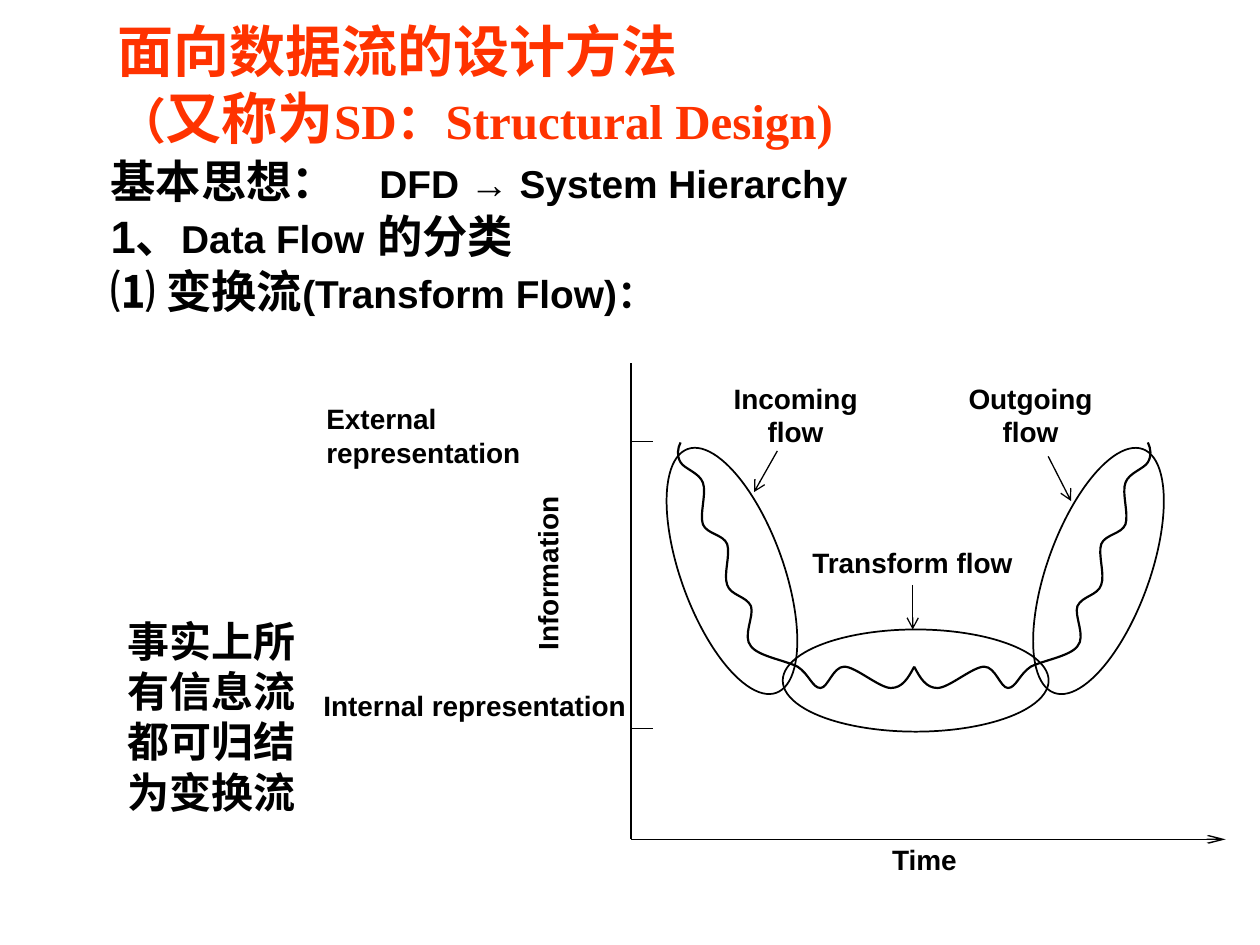
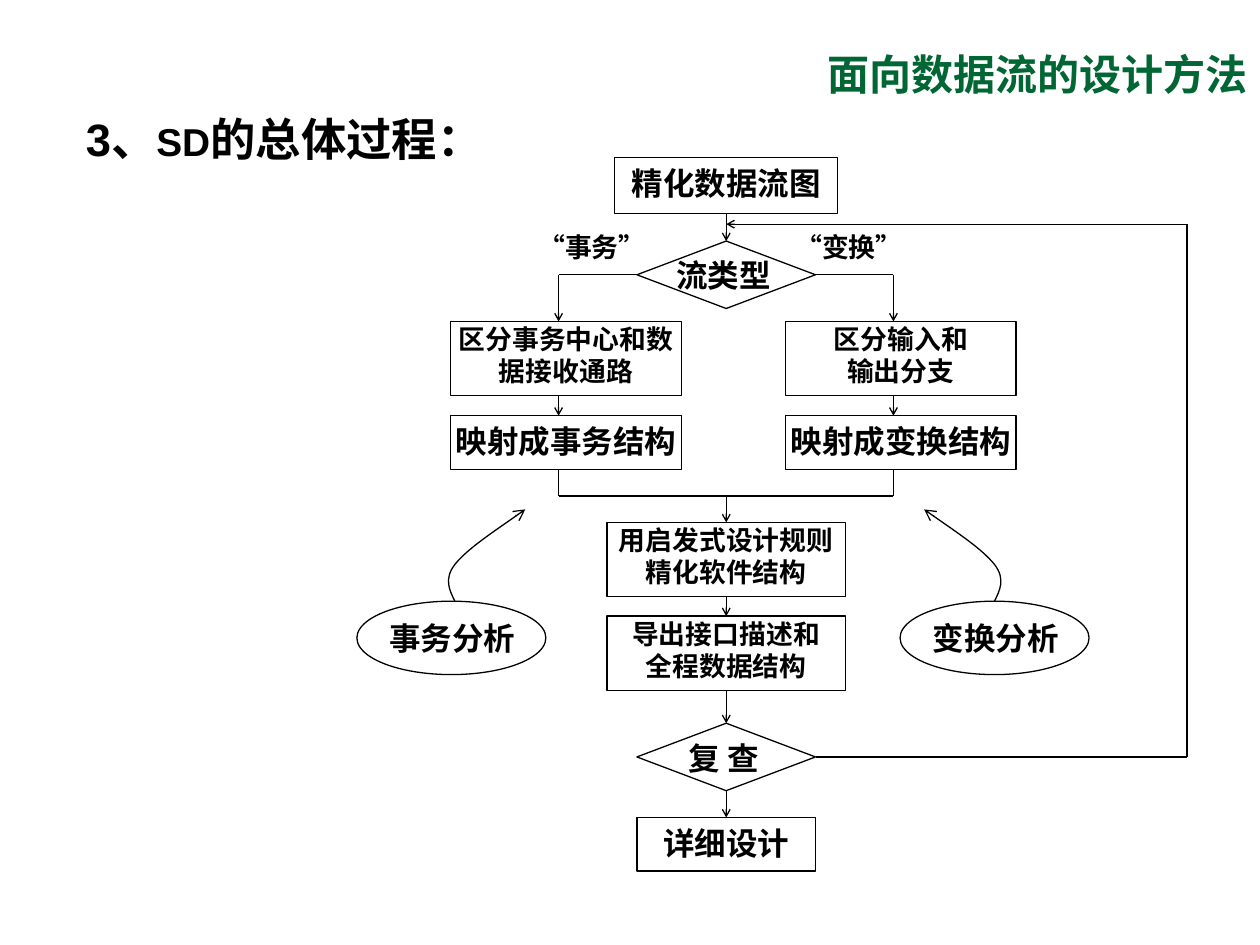
from pptx import Presentation
from pptx.dml.color import RGBColor
from pptx.enum.shapes import MSO_CONNECTOR, MSO_SHAPE
from pptx.enum.text import MSO_ANCHOR, MSO_AUTO_SIZE, PP_ALIGN
from pptx.oxml.ns import qn
from pptx.util import Cm, Pt
from lxml.etree import SubElement

COLORS = {"ink": "000000", "orange": "FF3300", "green": "006633"}
LEFT, CENTER, RIGHT = PP_ALIGN.LEFT, PP_ALIGN.CENTER, PP_ALIGN.RIGHT
RECT, DIAMOND, OVAL = MSO_SHAPE.RECTANGLE, MSO_SHAPE.DIAMOND, MSO_SHAPE.OVAL
ROOMY = (0.25, 0.13)   # horizontal and vertical text margins, cm
TIGHT = (0.05, 0.03)
LOW = (0.05, 0.13)
SMALL, MEDIUM, SLIM = ("sm", "sm"), ("med", "med"), ("sm", "lg")   # arrowhead width, length

# ---- Content: data flow slide (lengths in cm) ----
# A paragraph is a list of (text, size) runs; "\n" breaks the line.
FLOW_TITLE = [[("面向数据流的设计方法", 32), ("\n", 32), ("（", 28), ("又称为", 32),
               ("SD：Structural Design)", 28)]]
FLOW_BODY = [
    [("基本思想：\t", 25.9), ("DFD → System Hierarchy", 22.2)],
    [("1、", 25.9), ("Data Flow", 22.2), (" 的分类", 25.9)],
    [("⑴ 变换流", 25.9), ("(Transform Flow)：", 22.2)],
]
# lines, box, alignment, margins, rotation, size and, if not Arial, font
FLOW_LABELS = [
    (["Internal representation"], (5.89, 13.85, 6.78, 1.78), RIGHT, TIGHT, 0, 16),
    (["Information"], (9.66, 10.55, 3.71, 1.9), LEFT, ROOMY, 270, 16),
    (["Transform flow"], (16.02, 10.97, 4.75, 1.65), CENTER, TIGHT, 0, 16),
    (["Outgoing", "flow"], (19.34, 7.66, 2.87, 1.65), CENTER, TIGHT, 0, 16),
    (["Incoming", "flow"], (14.11, 7.66, 3.86, 1.65), CENTER, TIGHT, 0, 16),
    (["External representation"], (6.53, 8.07, 6.15, 1.78), LEFT, TIGHT, 0, 16),
    (["Time"], (16.97, 16.86, 3.33, 1.24), CENTER, ROOMY, 0, 16),
    (["事实上所有信息流都可归结为变换流"], (2.33, 12.27, 4.65, 4.32), LEFT, ROOMY, 0, 24),
]
FLOW_OVALS = [  # box, rotation
    ((15.78, 12.69, 5.36, 2.06), 0),
    ((12.14, 10.48, 5.23, 2.06), 70),
    ((19.53, 10.48, 5.23, 2.06), 290),
]
AXIS_X, AXIS_TOP, AXIS_BOTTOM, TIME_END = 12.72, 7.32, 16.92, 24.71
TICKS, TICK_LENGTH = (8.9, 14.68), 0.44
POINTERS = [((15.67, 9.09), (15.2, 9.92)), ((21.13, 9.2), (21.59, 10.1)),
            ((18.4, 11.79), (18.4, 12.69))]
WAVE_MIRROR = 18.43
# Bezier curves: the start, then two control points and an end per segment
WAVE = [
    (13.72, 8.92),
    (13.66, 9.04), (13.64, 9.19), (13.72, 9.32),
    (13.79, 9.45), (14.1, 9.53), (14.17, 9.73),
    (14.25, 9.93), (14.1, 10.36), (14.17, 10.57),
    (14.25, 10.77), (14.58, 10.77), (14.66, 10.97),
    (14.73, 11.18), (14.58, 11.58), (14.66, 11.79),
    (14.73, 12.01), (15.04, 12.01), (15.14, 12.22),
    (15.21, 12.42), (14.96, 12.83), (15.14, 13.03),
    (15.29, 13.23), (15.82, 13.31), (16.08, 13.44),
    (16.31, 13.59), (16.38, 13.87), (16.54, 13.87),
    (16.69, 13.87), (16.79, 13.44), (17.02, 13.44),
    (17.25, 13.44), (17.73, 13.87), (17.96, 13.87),
    (18.19, 13.87), (18.31, 13.67), (18.43, 13.44),
]

# ---- Content: process slide ----
PROCESS_TITLE = [[("面向数据流的设计方法", 24)]]
PROCESS_BODY = [[("3、", 25.9), ("SD", 22.2), ("的总体过程：", 25.9)]]
PROCESS_LABELS = [
    (["“变换”"], (15.77, 4.62, 2.69, 0.74), CENTER, TIGHT, 0, 15.3),
    (["“事务”"], (10.59, 4.62, 2.69, 0.74), CENTER, TIGHT, 0, 15.3),
    (["流类型"], (13.39, 5.13, 2.39, 1.12), CENTER, TIGHT, 0, 18),
    (["复 查"], (13.39, 14.86, 2.39, 1.12), CENTER, TIGHT, 0, 18, "Noto Sans CJK SC"),
    (["变换分析"], (18.4, 12.34, 3.35, 1.09), CENTER, LOW, 0, 18),
    (["事务分析"], (7.44, 12.34, 3.35, 1.09), CENTER, LOW, 0, 18),
]
MAIN, TRANSACTION, TRANSFORM = 14.64, 11.41, 18.16   # column centres
# name: shape, column centre, top, width, height, lines, size, margins
PROCESS_NODES = {
    "refine": (RECT, MAIN, 3.18, 4.5, 1.12, ["精化数据流图"], 18, ROOMY),
    "flow type": (DIAMOND, MAIN, 4.86, 3.6, 1.36, [], 18, TIGHT),
    "find centre": (RECT, TRANSACTION, 6.48, 4.65, 1.5,
                    ["区分事务中心和数据接收通路"], 15.3, TIGHT),
    "find branches": (RECT, TRANSFORM, 6.48, 4.65, 1.5,
                      ["区分输入和", "输出分支"], 15.3, TIGHT),
    "map transaction": (RECT, TRANSACTION, 8.38, 4.65, 1.08, ["映射成事务结构"], 18, LOW),
    "map transform": (RECT, TRANSFORM, 8.38, 4.65, 1.08, ["映射成变换结构"], 18, LOW),
    "heuristics": (RECT, MAIN, 10.53, 4.8, 1.5,
                   ["用启发式设计规则精化软件结构"], 15.3, TIGHT),
    "interfaces": (RECT, MAIN, 12.42, 4.8, 1.5,
                   ["导出接口描述和", "全程数据结构"], 15.3, TIGHT),
    "review": (DIAMOND, MAIN, 14.58, 3.6, 1.36, [], 18, TIGHT),
    "detail": (RECT, MAIN, 16.48, 3.6, 1.08, ["详细设计"], 18, LOW),
    "transaction analysis": (OVAL, 9.1, 12.12, 3.81, 1.48, [], 18, TIGHT),
    "transform analysis": (OVAL, 20.05, 12.12, 3.81, 1.48, [], 18, TIGHT),
}
MAIN_STEPS = [("refine", "flow type"), ("heuristics", "interfaces"),
              ("interfaces", "review"), ("review", "detail")]
BRANCHES = [(11.26, 1), (18.01, 3)]   # line x, side of the diamond
BRANCH_Y, MERGE_Y = 5.54, 10
RETURN_X, RETURN_TOP, RETURN_BOTTOM = 23.93, 4.52, 15.26
ANALYSIS_CURVE = [(9.17, 12.12), (9.07, 11.91), (8.94, 11.68), (9.17, 11.38),
                  (9.42, 11.07), (10.01, 10.68), (10.59, 10.27)]
ANALYSIS_MIRROR = 14.61


# ---- Shared helpers ----
def apply(target, values):
    for name, value in values.items():
        setattr(target, name, value)


def write(shape, paragraphs, font="Arial", color="ink", align=LEFT, margins=ROOMY,
          spacing=None):
    frame = shape.text_frame
    across, down = Cm(margins[0]), Cm(margins[1])
    apply(frame, dict(word_wrap=True, auto_size=MSO_AUTO_SIZE.NONE,
                      vertical_anchor=MSO_ANCHOR.TOP, margin_left=across,
                      margin_right=across, margin_top=down, margin_bottom=down))
    for index, runs in enumerate(paragraphs):
        paragraph = frame.add_paragraph() if index else frame.paragraphs[0]
        apply(paragraph, dict(alignment=align, **(spacing or {})))
        for text, size in runs:
            if text == "\n":
                paragraph.add_line_break()
                continue
            run = paragraph.add_run()
            run.text = text
            apply(run.font, dict(name=font, size=Pt(size), bold=True))
            run.font.color.rgb = RGBColor.from_string(COLORS[color])


def plain(lines, size):
    return [[(line, size)] for line in lines]


def add_text(slide, box, paragraphs, **options):
    shape = slide.shapes.add_textbox(*map(Cm, box))
    write(shape, paragraphs, **options)
    return shape


def add_labels(slide, labels):
    for lines, box, align, margins, rotation, size, *font in labels:
        label = add_text(slide, box, plain(lines, size), align=align, margins=margins,
                         font=font[0] if font else "Arial")
        label.rotation = rotation


def add_titled_slide(presentation, paragraphs, box, color, align):
    slide = presentation.slides.add_slide(presentation.slide_layouts[5])
    title = slide.shapes.title
    apply(title, dict(zip(("left", "top", "width", "height"), map(Cm, box))))
    write(title, paragraphs, font="Times New Roman", color=color, align=align)
    return slide


def outline(shape, width):
    shape.line.color.rgb = RGBColor.from_string(COLORS["ink"])
    shape.line.width = Pt(width)


def add_outlined(slide, kind, box, width=0.75):
    shape = slide.shapes.add_shape(kind, *map(Cm, box))
    shape.shadow.inherit = False
    shape.fill.background()
    outline(shape, width)
    return shape


def add_arrowhead(shape, head):
    SubElement(shape.line._get_or_add_ln(), qn("a:tailEnd"),
               type="arrow", w=head[0], len=head[1])


def add_line(slide, start, end, nodes=None, head=None):
    """Each end is a point, or a node name with a connection site."""
    joined = [isinstance(place[0], str) for place in (start, end)]
    points = [(0, 0) if join else place for place, join in zip((start, end), joined)]
    line = slide.shapes.add_connector(
        MSO_CONNECTOR.STRAIGHT, *(Cm(value) for point in points for value in point))
    if joined[0]:
        line.begin_connect(nodes[start[0]], start[1])
    if joined[1]:
        line.end_connect(nodes[end[0]], end[1])
    outline(line, 0.75)
    if head:
        add_arrowhead(line, head)
    SubElement(line._element.spPr, qn("a:effectLst"))


def bend(shape):
    """Turn each three line segments into one Bezier segment."""
    outline_element = next(shape._element.iter(qn("a:path")))
    segments = outline_element.findall(qn("a:lnTo"))
    for first in range(0, len(segments), 3):
        curve = SubElement(outline_element, qn("a:cubicBezTo"))
        for segment in segments[first:first + 3]:
            curve.append(segment[0])
            outline_element.remove(segment)


def add_curve_pair(slide, curve, mirror, width, head=None):
    reflected = [(2 * mirror - x, y) for x, y in curve]
    for side in (curve, reflected):
        points = [(Cm(x), Cm(y)) for x, y in side]
        builder = slide.shapes.build_freeform(*points[0])
        builder.add_line_segments(points[1:], close=False)
        shape = builder.convert_to_shape()
        bend(shape)
        shape.shadow.inherit = False
        shape.fill.background()
        outline(shape, width)
        if head:
            add_arrowhead(shape, head)


# ---- Slides ----
def build_flow_slide(presentation):
    slide = add_titled_slide(presentation, FLOW_TITLE, (2.11, 0.2, 21.59, 3.18), "orange", LEFT)
    body = add_text(slide, (1.98, 3.18, 16.08, 4.24), FLOW_BODY,
                    spacing=dict(line_spacing=0.8, space_before=Pt(6.4)))
    properties = body.text_frame.paragraphs[0]._p.get_or_add_pPr()
    tabs = SubElement(properties, qn("a:tabLst"))
    SubElement(tabs, qn("a:tab"), pos=str(Cm(5.42)), algn="l")
    add_labels(slide, FLOW_LABELS)

    # Waves and the regions around them
    add_curve_pair(slide, WAVE, WAVE_MIRROR, 1.25)
    for box, rotation in FLOW_OVALS:
        add_outlined(slide, OVAL, box, 1).rotation = rotation

    # Axes, ticks and pointers
    corner = (AXIS_X, AXIS_BOTTOM)
    add_line(slide, (AXIS_X, AXIS_TOP), corner)
    add_line(slide, corner, (TIME_END, AXIS_BOTTOM), head=SLIM)
    for y in TICKS:
        add_line(slide, (AXIS_X, y), (AXIS_X + TICK_LENGTH, y))
    for start, end in POINTERS:
        add_line(slide, start, end, head=MEDIUM)


def build_process_slide(presentation):
    slide = add_titled_slide(presentation, PROCESS_TITLE, (14.81, 0.85, 10.59, 1.27),
                             "green", RIGHT)
    add_text(slide, (1.48, 2.11, 9.32, 1.47), PROCESS_BODY, spacing=dict(space_before=Pt(7)))

    # Steps, decisions and analyses
    nodes = {}
    for name, (kind, centre, top, width, height, lines, size, margins) in PROCESS_NODES.items():
        nodes[name] = add_outlined(slide, kind, (centre - width / 2, top, width, height))
        write(nodes[name], plain(lines, size), align=CENTER, margins=margins)
    add_labels(slide, PROCESS_LABELS)

    # Main column
    for upper, lower in MAIN_STEPS:
        add_line(slide, (upper, 2), (lower, 0), nodes, SMALL)
    add_line(slide, (MAIN, MERGE_Y), ("heuristics", 0), nodes, SMALL)

    # Both branches
    for x, side in BRANCHES:
        add_line(slide, ("flow type", side), (x, BRANCH_Y), nodes)
        add_line(slide, (x, BRANCH_Y), (x, 6.48), head=SMALL)
        add_line(slide, (x, 7.98), (x, 8.38), head=SMALL)
        add_line(slide, (x, 9.46), (x, MERGE_Y))
    add_line(slide, (BRANCHES[0][0], MERGE_Y), (BRANCHES[1][0], MERGE_Y))

    # Return loop and analysis pointers
    add_line(slide, ("review", 3), (RETURN_X, RETURN_BOTTOM), nodes)
    add_line(slide, (RETURN_X, RETURN_BOTTOM), (RETURN_X, RETURN_TOP))
    add_line(slide, (RETURN_X, RETURN_TOP), (MAIN, RETURN_TOP), head=SMALL)
    add_curve_pair(slide, ANALYSIS_CURVE, ANALYSIS_MIRROR, 0.75, MEDIUM)


def main():
    presentation = Presentation()
    apply(presentation, dict(slide_width=Cm(25.4), slide_height=Cm(19.05)))
    build_flow_slide(presentation)
    build_process_slide(presentation)
    presentation.save("out.pptx")


if __name__ == "__main__":
    main()
